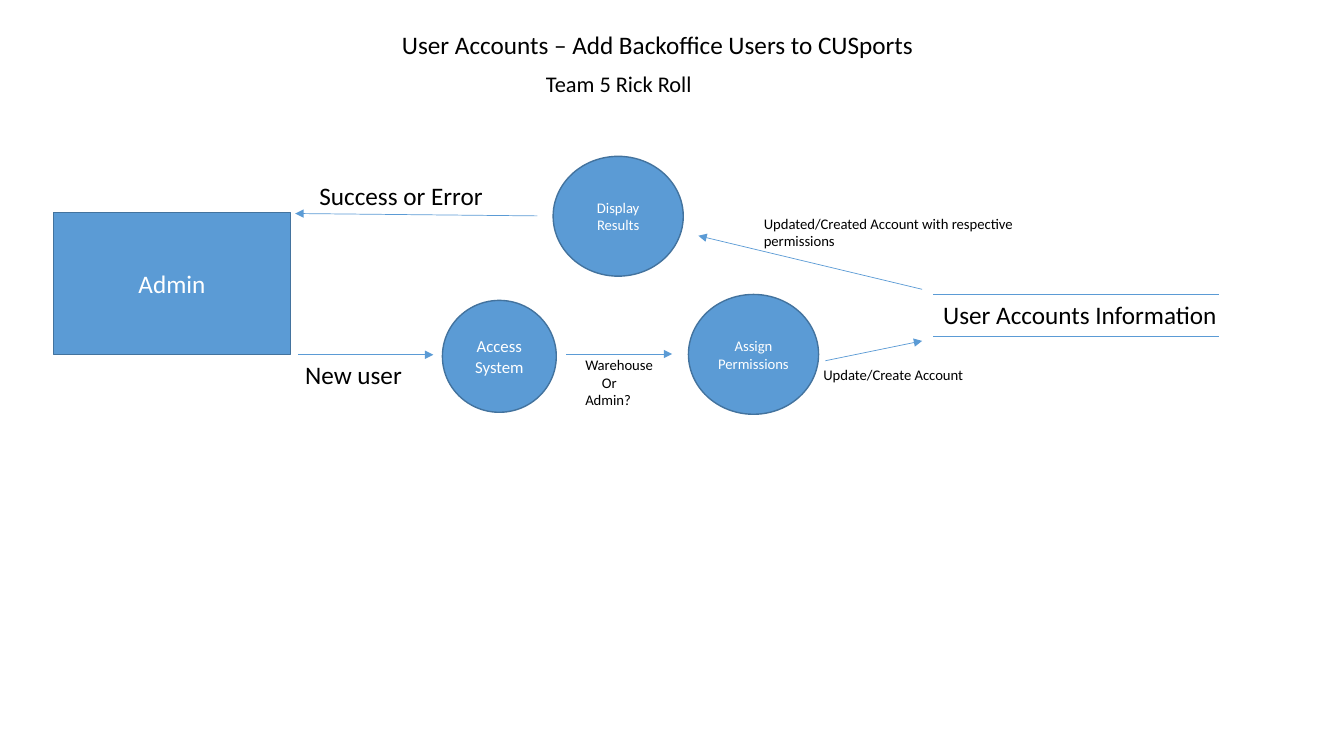
from lxml.etree import SubElement
from pptx import Presentation
from pptx.dml.color import RGBColor
from pptx.enum.shapes import MSO_CONNECTOR as Link, MSO_SHAPE as Shape
from pptx.enum.text import MSO_ANCHOR as Anchor, MSO_AUTO_SIZE as AutoSize, PP_ALIGN as Align
from pptx.oxml.ns import qn
from pptx.util import Cm, Pt

COLORS = {"fill": "5B9BD5", "outline": "43739E", "text": "000000", "light": "FFFFFF"}
OR_INDENT = Cm(0.42)


def color(name):
    return RGBColor.from_string(COLORS[name])


def write(box, lines, size, ink, align=Align.LEFT):
    frame = box.text_frame
    frame.word_wrap = True
    formats = {"name": "Calibri", "size": Pt(size)}
    for index, line in enumerate(lines):
        para = frame.paragraphs[0] if index == 0 else frame.add_paragraph()
        para.alignment = align
        span = para.add_run()
        span.text = line
        for key, value in formats.items():
            setattr(span.font, key, value)
        span.font.color.rgb = color(ink)


def add_node(page, kind, place, label, size):
    node = page.shapes.add_shape(kind, *map(Cm, place))
    node.shadow.inherit = False
    node.fill.solid()
    node.fill.fore_color.rgb = color("fill")
    node.line.color.rgb = color("outline")
    node.line.width = Pt(1)
    node.text_frame.vertical_anchor = Anchor.MIDDLE
    write(node, [label], size, "light", Align.CENTER)


def add_label(page, place, lines, size):
    box = page.shapes.add_textbox(*map(Cm, place))
    write(box, lines, size, "text")
    box.text_frame.auto_size = AutoSize.SHAPE_TO_FIT_TEXT
    return box


def add_line(page, ends, arrow=False):
    line = page.shapes.add_connector(Link.STRAIGHT, *map(Cm, ends))
    line.line.color.rgb = color("fill")
    line.line.width = Pt(0.5)
    if arrow:
        SubElement(line.line._get_or_add_ln(), qn("a:tailEnd"), type="triangle")
    SubElement(line._element.spPr, qn("a:effectLst"))


def main():
    deck = Presentation()
    deck.slide_width, deck.slide_height = Cm(33.87), Cm(19.05)
    page = deck.slides.add_slide(deck.slide_layouts[6])

    add_label(page, (9.88, 0.61, 14.12, 1.02), ["User Accounts – Add Backoffice Users to CUSports"], 18)
    add_label(page, (13.51, 1.65, 4.34, 0.94), ["Team 5 Rick Roll"], 16)

    for kind, place, label, size in (
        (Shape.RECTANGLE, (1.35, 5.36, 5.97, 3.58), "Admin", 18),
        (Shape.OVAL, (11.15, 7.57, 2.87, 2.82), "Access System", 12),
        (Shape.OVAL, (17.35, 7.42, 3.28, 3.02), "Assign Permissions", 10.5),
        (Shape.OVAL, (13.94, 3.94, 3.28, 3.02), "Display Results", 10.5),
    ):
        add_node(page, kind, place, label, size)

    for ends in (
        (7.52, 8.94, 10.92, 8.94),
        (14.27, 8.92, 16.94, 8.92),
        (20.8, 9.09, 23.24, 8.59),
        (23.24, 7.29, 17.6, 5.94),
        (13.54, 5.44, 7.44, 5.38),
    ):
        add_line(page, ends, arrow=True)

    for store_edge in (7.42, 8.48):
        add_line(page, (23.52, store_edge, 30.73, store_edge))

    for place, label, size in (
        ((7.44, 8.94, 8.26, 1.02), "New user", 18),
        ((7.8, 4.42, 9.04, 1.02), "Success or Error", 18),
        ((23.52, 7.42, 8.26, 1.02), "User Accounts Information", 18),
        ((20.5, 9.09, 8.26, 0.71), "Update/Create Account", 10.5),
        ((19, 5.28, 8.26, 1.14), "Updated/Created Account with respective permissions", 10.5),
    ):
        add_label(page, place, [label], size)

    question = add_label(page, (14.5, 8.84, 8.26, 1.6), ["Warehouse", "Or", "Admin?"], 10.5)
    choice = question.text_frame.paragraphs[1]
    choice._p.get_or_add_pPr().set("marL", str(OR_INDENT))

    deck.save("out.pptx")


if __name__ == "__main__":
    main()
